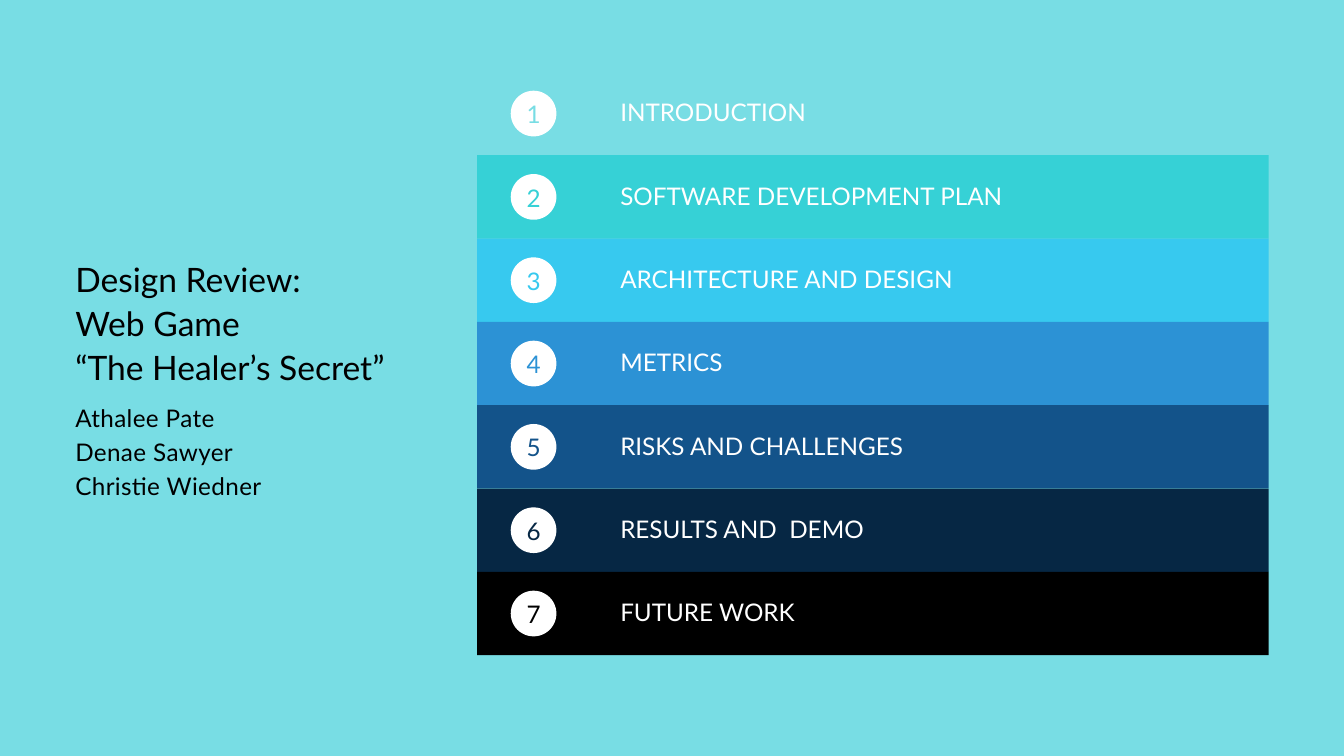
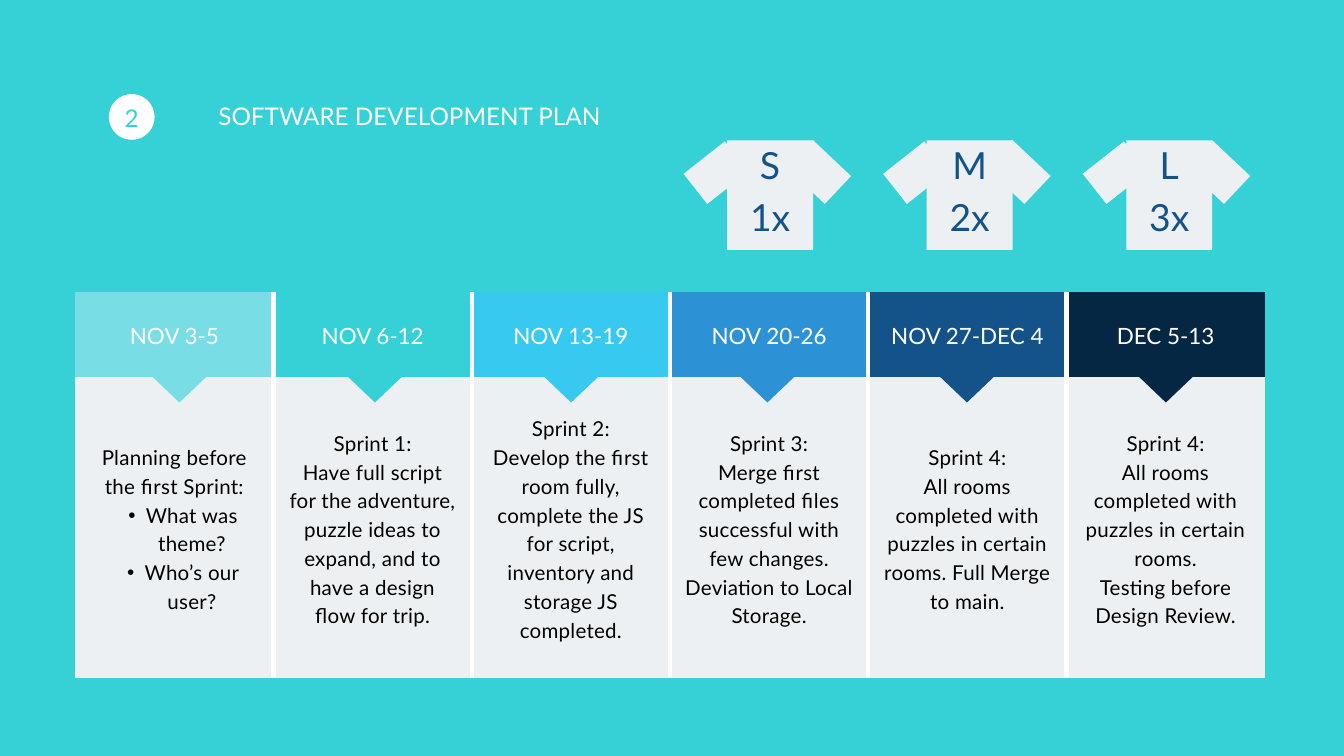
from lxml import etree
from pptx import Presentation
from pptx import util as u
from pptx.dml.color import RGBColor
from pptx.enum import shapes, text
from pptx.oxml import ns

# Shared look: a grid of 20 columns by 11.25 rows, one inch each
COLS, ROWS = 20, 11.25
LEFT = 1.12
FONT = "Lato"
HEX = {
    "aqua": "78DDE4", "teal": "36D1D6", "sky": "37C9EF", "blue": "2C92D5",
    "navy": "13538A", "night": "062744", "black": "000000",
    "white": "FFFFFF", "pale": "EDF0F2",
}
SCALE = ["aqua", "teal", "sky", "blue", "navy", "night", "black"]
LABEL = {"size": 26, "lead": 31.2, "color": "white"}
INDENT = 2.13  # from the edge of a band to its label
BAND = 1.24

TOPICS = ["INTRODUCTION", "SOFTWARE DEVELOPMENT PLAN", "ARCHITECTURE AND DESIGN",
          "METRICS", "RISKS AND CHALLENGES", "RESULTS AND  DEMO", "FUTURE WORK"]

# Dates, tasks and middle of the pointer for each sprint
SPRINTS = [
    ("NOV 3-5", ["Planning before the first Sprint:", "•What was theme?",
                 "•Who’s our user?"], 2.67),
    ("NOV 6-12", ["Sprint 1:", "Have full script for the adventure, puzzle ideas "
                  "to expand, and to have a design flow for trip."], 5.58),
    ("NOV 13-19", ["Sprint 2:", "Develop the first room fully, complete the JS for "
                   "script, inventory and storage JS completed."], 8.5),
    ("NOV 20-26", ["Sprint 3:", "Merge first completed files successful with few "
                   "changes.", "Deviation to Local Storage."], 11.42),
    ("NOV 27-DEC 4", ["Sprint 4:", "All rooms completed with puzzles in certain "
                      "rooms. Full Merge to main."], 14.39),
    ("DEC 5-13", ["Sprint 4:", "All rooms completed with puzzles in certain rooms.",
                  "Testing before Design Review."], 17.35),
]
SHIRTS = [("S", "1x"), ("M", "2x"), ("L", "3x")]


def rgb(name):
    return RGBColor.from_string(HEX[name])


def grid(*spans):
    return [u.Inches(n) for n in spans]


def write(frame, lines, size=26, lead=36.4, color="black", align="LEFT",
          anchor="MIDDLE", pad=(0, 0, 0, 0), track=0):
    """Fill a text frame; a line that starts with • becomes a list item."""
    frame.word_wrap = True
    frame.auto_size = text.MSO_AUTO_SIZE.NONE
    frame.vertical_anchor = text.MSO_ANCHOR[anchor]
    (frame.margin_left, frame.margin_top,
     frame.margin_right, frame.margin_bottom) = grid(*pad)
    for i, line in enumerate(lines):
        par = frame.paragraphs[0] if i == 0 else frame.add_paragraph()
        par.alignment = text.PP_ALIGN[align]
        par.line_spacing = u.Pt(lead)
        par.space_before = par.space_after = u.Pt(0)
        mark(par, line.startswith("•"))
        run = par.add_run()
        run.text = line.lstrip("•")
        run.font.name, run.font.size = FONT, u.Pt(size)
        run.font.color.rgb = rgb(color)
        if track:
            run.font._element.set("spc", str(int(track * 100)))


def mark(par, on):
    """Turn the bullet of a paragraph on or off."""
    props = par._p.get_or_add_pPr()
    hang = u.Inches(0.26) if on else 0
    props.set("marL", str(2 * hang))
    props.set("indent", str(-hang))
    if on:
        etree.SubElement(props, ns.qn("a:buFont")).set("typeface", "Arial")
        etree.SubElement(props, ns.qn("a:buChar")).set("char", "•")
    else:
        etree.SubElement(props, ns.qn("a:buNone"))


def draw(slide, kind, box, fill=None, turn=0):
    shape = slide.shapes.add_shape(shapes.MSO_SHAPE[kind], *grid(*box))
    shape.shadow.inherit = False
    shape.line.fill.background()
    shape.rotation = turn
    if fill:
        shape.fill.solid()
        shape.fill.fore_color.rgb = rgb(fill)
    else:
        shape.fill.background()
    return shape


def page(deck, layout, back):
    slide = deck.slides.add_slide(deck.slide_layouts[layout])
    slide.background.fill.solid()
    slide.background.fill.fore_color.rgb = rgb(back)
    return slide


def hold(shape, box, lines, **form):
    """Move a placeholder and fill it."""
    shape.left, shape.top, shape.width, shape.height = grid(*box)
    write(shape.text_frame, lines, **form)


def badge(slide, left, mid, num, color):
    disc = draw(slide, "OVAL", (left + 0.5, mid - 0.34, 0.68, 0.68), "white")
    write(disc.text_frame, [str(num)], color=color, align="CENTER",
          pad=(0, 0, 0, 0.06))


def band(slide, row, topic, color):
    left, top = 7.1, 1.07 + row * BAND
    fill = color if row else None
    bar = draw(slide, "RECTANGLE", (left, top, 11.78, BAND), fill)
    write(bar.text_frame, [topic], pad=(INDENT, 0, 0.28, 0.04), **LABEL)
    badge(slide, left, top + BAND / 2, row + 1, color)


def shirt(slide, left, lines):
    for dx, dy, turn in ((-0.45, 2.18, 51.8), (1.08, 2.17, 133.3)):
        draw(slide, "RECTANGLE", (left + dx, dy, 0.57, 0.78), "pale", turn)
    trunk = draw(slide, "RECTANGLE", (left, 2.09, 1.28, 1.63), "pale")
    write(trunk.text_frame, lines, size=40, lead=56, color="navy",
          align="CENTER", pad=(0.06, 0, 0.06, 0.26))


def edge(cell, shown):
    """Set the four borders of a cell; only the named sides are drawn."""
    props = cell._tc.get_or_add_tcPr()
    for i, side in enumerate("LRTB"):
        line = etree.Element(ns.qn("a:ln" + side))
        if side in shown:
            line.set("w", str(u.Pt(5.25)))
            fill = etree.SubElement(line, ns.qn("a:solidFill"))
            etree.SubElement(fill, ns.qn("a:srgbClr")).set("val", HEX["white"])
        else:
            line.set("w", "0")
            etree.SubElement(line, ns.qn("a:noFill"))
        props.insert(i, line)


def plan(slide):
    count = len(SPRINTS)
    table = slide.shapes.add_table(2, count, *grid(LEFT, 4.35, 17.7, 5.74)).table
    table.first_row = table.horz_banding = False
    for row, tall in zip(table.rows, (1.26, 4.48)):
        row.height = u.Inches(tall)
    for i, (dates, tasks, mid) in enumerate(SPRINTS):
        sides = ("L" if i else "") + ("R" if i < count - 1 else "")
        parts = (([dates], SCALE[i], {"size": 24, "lead": 31.2, "color": "white"}),
                 (tasks, "pale", {"size": 22, "lead": 30.8, "track": 0.3}))
        for j, (lines, fill, form) in enumerate(parts):
            cell = table.cell(j, i)
            cell.fill.solid()
            cell.fill.fore_color.rgb = rgb(fill)
            edge(cell, sides)
            write(cell.text_frame, lines, align="CENTER", **form)
            cell.vertical_anchor = text.MSO_ANCHOR.MIDDLE
            (cell.margin_left, cell.margin_top,
             cell.margin_right, cell.margin_bottom) = grid(*[0.21] * 4)
        draw(slide, "FLOWCHART_MERGE", (mid - 0.43, 5.58, 0.86, 0.41), SCALE[i])


def main():
    deck = Presentation()
    deck.slide_width, deck.slide_height = grid(COLS, ROWS)

    # Agenda
    slide = page(deck, 1, "aqua")
    hold(slide.shapes.title, (LEFT, 3.81, 5.72, 1.92),
         ["Design Review:", "Web Game", "“The Healer’s Secret”"],
         size=36, lead=46.8, anchor="TOP")
    hold(slide.placeholders[1], (LEFT, 5.93, 5.72, 1.47),
         ["Athalee Pate", "Denae Sawyer", "Christie Wiedner"],
         anchor="TOP", track=0.4)
    for row, (topic, color) in enumerate(zip(TOPICS, SCALE)):
        band(slide, row, topic, color)

    # Development plan
    slide = page(deck, 5, "teal")
    hold(slide.shapes.title, (LEFT, 1.09, 11.78, 1.28), [TOPICS[1]],
         pad=(INDENT, 0.28, 0.28, 0.28), **LABEL)
    badge(slide, LEFT, 1.74, 2, "teal")
    plan(slide)
    for i, lines in enumerate(SHIRTS):
        shirt(slide, 10.82 + i * 2.97, lines)

    deck.save("out.pptx")


if __name__ == "__main__":
    main()
